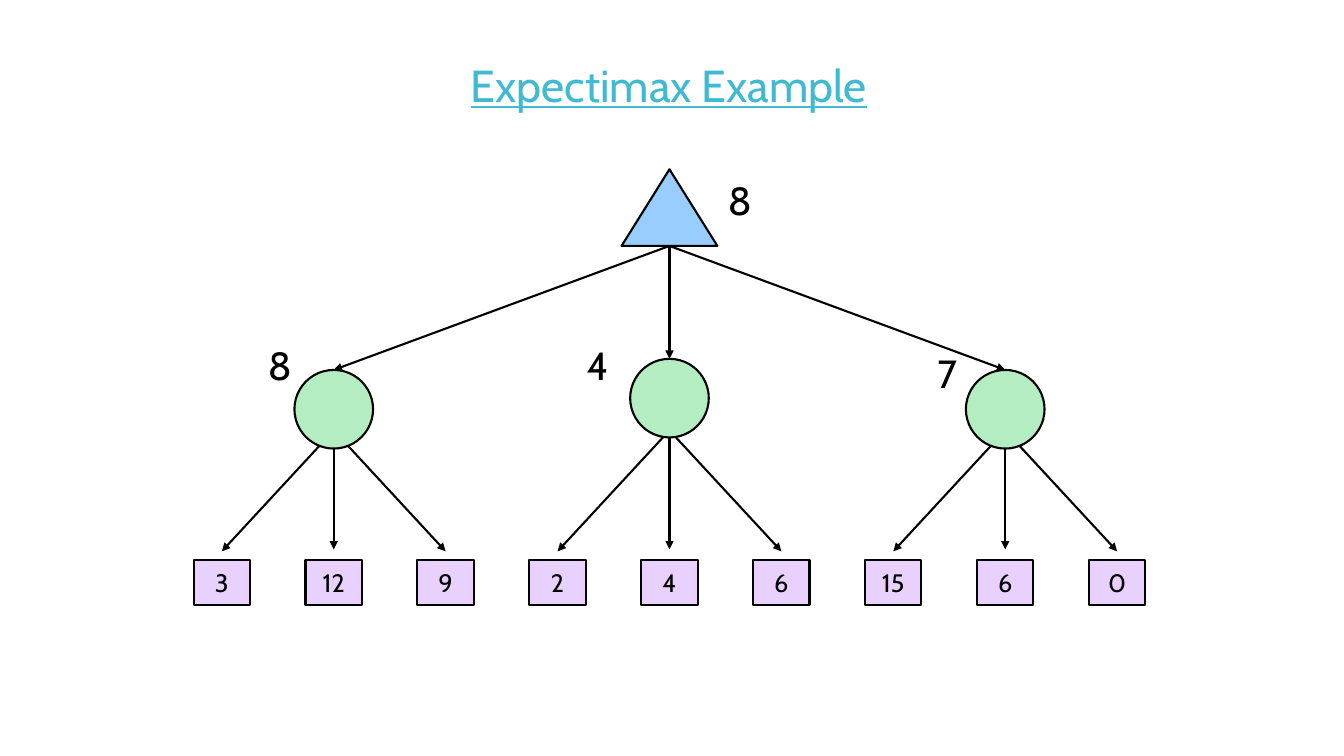
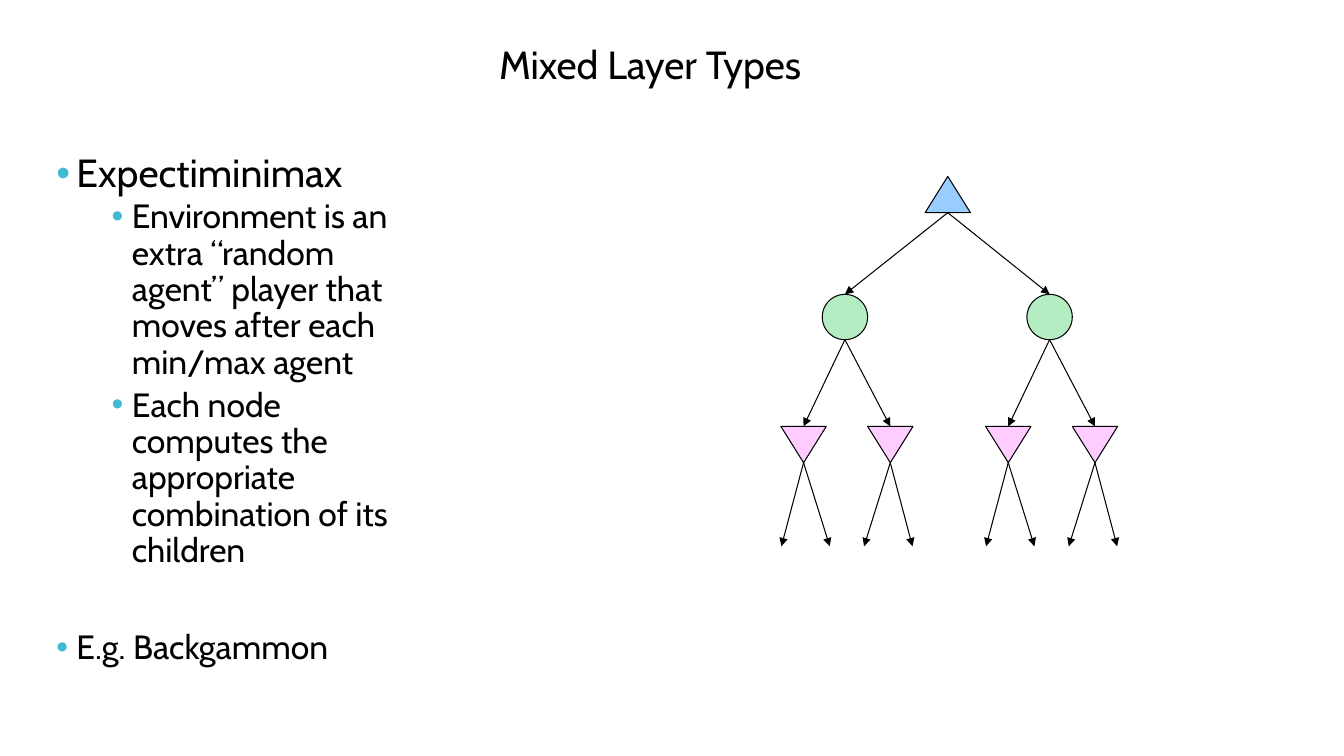
from dataclasses import dataclass

from lxml.etree import SubElement
from pptx import Presentation
from pptx.dml.color import RGBColor
from pptx.enum.shapes import MSO_CONNECTOR, MSO_SHAPE
from pptx.enum.text import MSO_ANCHOR, MSO_AUTO_SIZE, PP_ALIGN
from pptx.oxml.ns import qn
from pptx.util import Inches, Pt

FONT = "Cabin"
BLACK = "000000"
TEAL = "40BAD2"
BLUE = "99CCFF"
GREEN = "B5EDC2"
LILAC = "E8D1FF"
PINK = "FFCCFF"


@dataclass(frozen=True)
class NodeStyle:
    """Look of one kind of tree node."""

    preset: MSO_SHAPE
    width: float
    height: float
    fill: str
    line_width: float
    rotation: float = 0


@dataclass(frozen=True)
class ChanceNode:
    """A circle with its value label and the leaves below it."""

    center: float
    top: float
    value: str
    label_left: float
    label_top: float
    leaves: tuple[str, ...]


@dataclass(frozen=True)
class Bullet:
    """One bulleted paragraph."""

    text: str
    size: float
    level: int = 0
    indent: float = 0.2
    before: float = 12
    after: float = 0


MAX_NODE = NodeStyle(MSO_SHAPE.ISOSCELES_TRIANGLE, 0.95, 0.76, BLUE, 1.5)
CHANCE_NODE = NodeStyle(MSO_SHAPE.OVAL, 0.78, 0.78, GREEN, 1.5)
LEAF = NodeStyle(MSO_SHAPE.RECTANGLE, 0.56, 0.44, LILAC, 1.5)
SMALL_MAX = NodeStyle(MSO_SHAPE.ISOSCELES_TRIANGLE, 0.45, 0.36, BLUE, 0.75)
SMALL_CHANCE = NodeStyle(MSO_SHAPE.OVAL, 0.45, 0.45, GREEN, 0.75)
SMALL_MIN = NodeStyle(MSO_SHAPE.ISOSCELES_TRIANGLE, 0.45, 0.36, PINK, 0.75, 180)

CHANCE_NODES = (
    ChanceNode(3.31, 3.67, "8", 2.56, 3.34, ("3", "12", "9")),
    ChanceNode(6.64, 3.56, "4", 5.72, 3.34, ("2", "4", "6")),
    ChanceNode(9.97, 3.67, "7", 9.2, 3.42, ("15", "6", "0")),
)
BULLETS = (
    Bullet("Expectiminimax", 28),
    Bullet(
        "Environment is an extra “random agent” player that moves after each min/max agent",
        24, 1, 0.75, 2.5, 2.5,
    ),
    Bullet(
        "Each node computes the appropriate combination of its children",
        24, 1, 0.75, 2.5, 2.5,
    ),
    Bullet("E.g. Backgammon", 24, before=41),
)


def rgb(color: str) -> RGBColor:
    """Turn a hex string into a colour."""
    return RGBColor.from_string(color)


def write_text(paragraph, text: str, *, size: float, color: str = BLACK,
               underline: bool = False, alignment=PP_ALIGN.LEFT) -> None:
    """Add one formatted run to a paragraph."""
    paragraph.alignment = alignment
    run = paragraph.add_run()
    run.text = text
    run.font.name = FONT
    run.font.size = Pt(size)
    run.font.color.rgb = rgb(color)
    run.font.underline = underline


def add_titled_slide(presentation, title: str, left: float, top: float,
                     width: float, height: float, **text_format):
    """Add a title-only slide with a placed and formatted title."""
    slide = presentation.slides.add_slide(presentation.slide_layouts[5])
    shape = slide.shapes.title
    shape.left, shape.top = Inches(left), Inches(top)
    shape.width, shape.height = Inches(width), Inches(height)
    frame = shape.text_frame
    frame.vertical_anchor = MSO_ANCHOR.TOP
    frame.auto_size = MSO_AUTO_SIZE.NONE
    frame.word_wrap = True
    write_text(frame.paragraphs[0], title, **text_format)
    return slide


def add_text_box(slide, left: float, top: float, width: float, height: float):
    """Add a wrapping text box and return its text frame."""
    box = slide.shapes.add_textbox(Inches(left), Inches(top), Inches(width), Inches(height))
    box.text_frame.word_wrap = True
    return box.text_frame


def add_value(slide, value: str, left: float, top: float) -> None:
    """Write the value of a node beside it."""
    frame = add_text_box(slide, left, top, 0.64, 0.57)
    write_text(frame.paragraphs[0], value, size=28)


def add_node(slide, style: NodeStyle, center: float, top: float, text: str = "") -> None:
    """Draw a node centred on a column."""
    shape = slide.shapes.add_shape(
        style.preset, Inches(center - style.width / 2), Inches(top),
        Inches(style.width), Inches(style.height),
    )
    shape.shadow.inherit = False
    shape.rotation = style.rotation
    shape.fill.solid()
    shape.fill.fore_color.rgb = rgb(style.fill)
    shape.line.color.rgb = rgb(BLACK)
    shape.line.width = Pt(style.line_width)
    if text:
        frame = shape.text_frame
        frame.word_wrap = False
        frame.vertical_anchor = MSO_ANCHOR.MIDDLE
        write_text(frame.paragraphs[0], text, size=18, alignment=PP_ALIGN.CENTER)


def add_arrow(slide, start: tuple[float, float], end: tuple[float, float],
              line_width: float) -> None:
    """Draw an arrow between two points."""
    connector = slide.shapes.add_connector(
        MSO_CONNECTOR.STRAIGHT, *(Inches(value) for value in (*start, *end))
    )
    connector.line.color.rgb = rgb(BLACK)
    connector.line.width = Pt(line_width)
    SubElement(connector.line._get_or_add_ln(), qn("a:tailEnd"), type="triangle")
    SubElement(connector._element.spPr, qn("a:effectLst"))


def add_bullets(frame, bullets: tuple[Bullet, ...]) -> None:
    """Fill a text frame with bulleted paragraphs."""
    for index, bullet in enumerate(bullets):
        paragraph = frame.add_paragraph() if index else frame.paragraphs[0]
        write_text(paragraph, bullet.text, size=bullet.size)
        paragraph.level = bullet.level
        paragraph.line_spacing = 0.9
        paragraph.space_before = Pt(bullet.before)
        paragraph.space_after = Pt(bullet.after)
        properties = paragraph._p.get_or_add_pPr()
        properties.set("marL", str(Inches(bullet.indent)))
        properties.set("indent", str(Inches(-0.2)))
        bullet_color = SubElement(properties, qn("a:buClr"))
        SubElement(bullet_color, qn("a:srgbClr"), val=TEAL)
        SubElement(properties, qn("a:buFont"), typeface="Arial")
        SubElement(properties, qn("a:buChar"), char="•")


def build_expectimax(presentation) -> None:
    """Build the expectimax tree with its values."""
    slide = add_titled_slide(
        presentation, "Expectimax Example", 0.94, 0.52, 11.39, 1.18,
        size=32, color=TEAL, underline=True, alignment=PP_ALIGN.CENTER,
    )
    root, root_top, leaf_step = 6.64, 1.68, 1.11
    add_node(slide, MAX_NODE, root, root_top)
    add_value(slide, "8", 7.12, 1.7)
    for node in CHANCE_NODES:
        add_arrow(slide, (root, root_top + MAX_NODE.height), (node.center, node.top), 1.5)
        for column, leaf in enumerate(node.leaves, start=-1):
            leaf_center = node.center + column * leaf_step
            arrow_end = 5.47 if column else 5.45
            add_arrow(slide, (node.center, 4.27), (leaf_center, arrow_end), 1.5)
            add_node(slide, LEAF, leaf_center, 5.56, leaf)
        add_node(slide, CHANCE_NODE, node.center, node.top)
        add_value(slide, node.value, node.label_left, node.label_top)


def build_mixed_layers(presentation) -> None:
    """Build the bullets and the tree of max, chance and min layers."""
    slide = add_titled_slide(
        presentation, "Mixed Layer Types", 4.85, 0.35, 3.63, 0.57, size=28
    )
    add_bullets(add_text_box(slide, 0.46, 1.48, 3.58, 5.5), BULLETS)
    root, root_top, chance_top, min_top, tip = 9.4, 1.75, 2.92, 4.23, 5.42
    add_node(slide, SMALL_MAX, root, root_top)
    for chance in (8.38, 10.41):
        add_arrow(slide, (root, root_top + SMALL_MAX.height), (chance, chance_top), 0.75)
        add_node(slide, SMALL_CHANCE, chance, chance_top)
        for offset, tip_offsets in ((-0.41, (-0.22, 0.26)), (0.45, (-0.26, 0.22))):
            center = chance + offset
            chance_bottom = chance_top + SMALL_CHANCE.height
            add_arrow(slide, (chance, chance_bottom), (center, min_top), 0.75)
            add_node(slide, SMALL_MIN, center, min_top)
            for tip_offset in tip_offsets:
                min_bottom = min_top + SMALL_MIN.height
                add_arrow(slide, (center, min_bottom), (center + tip_offset, tip), 0.75)


def main() -> None:
    """Build and save the presentation."""
    presentation = Presentation()
    presentation.slide_width = Inches(13.33)
    presentation.slide_height = Inches(7.5)
    build_expectimax(presentation)
    build_mixed_layers(presentation)
    presentation.save("out.pptx")


if __name__ == "__main__":
    main()
